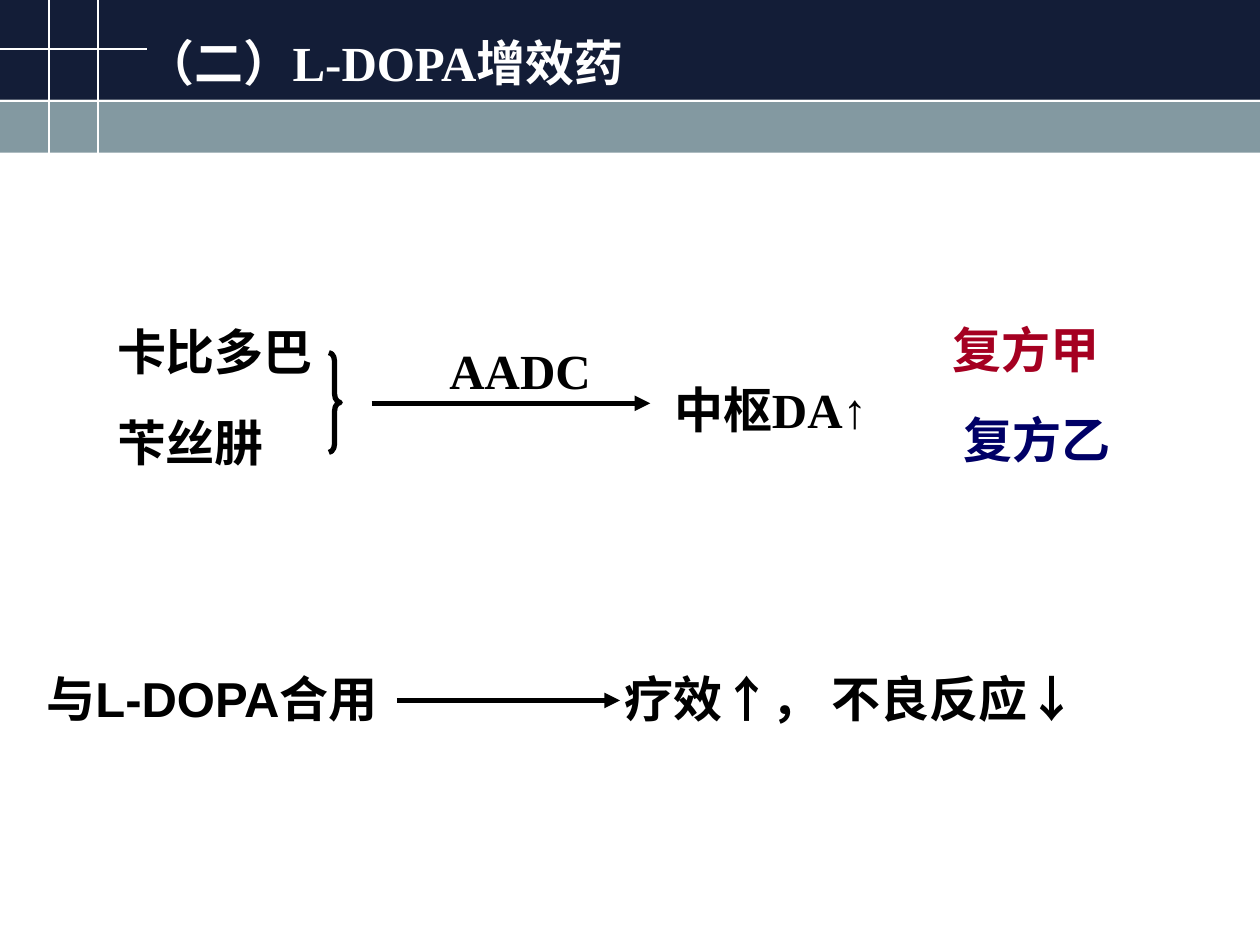
from lxml import etree
from pptx import Presentation
from pptx.dml.color import RGBColor
from pptx.enum.shapes import MSO_CONNECTOR, MSO_SHAPE
from pptx.enum.text import MSO_ANCHOR, PP_ALIGN
from pptx.oxml.ns import qn
from pptx.util import Cm, Pt

STRAIGHT = MSO_CONNECTOR.STRAIGHT
RECTANGLE, RIGHT_BRACE = MSO_SHAPE.RECTANGLE, MSO_SHAPE.RIGHT_BRACE
TOP, LEFT = MSO_ANCHOR.TOP, PP_ALIGN.LEFT

NAVY = RGBColor(0x13, 0x1D, 0x37)
GREY = RGBColor(0x83, 0x99, 0xA1)
WHITE = RGBColor(0xFF, 0xFF, 0xFF)
BLACK = RGBColor(0, 0, 0)
RED = RGBColor(0xA5, 0x00, 0x21)
BLUE = RGBColor(0x00, 0x00, 0x66)

SERIF, SANS, CJK = "Times New Roman", "Arial", "Noto Sans CJK SC"
TEXT_HEIGHT = 1.45

# All positions below are in centimetres.
TITLE = ("（二）L-DOPA增效药", 2.69, 0.53, 10.67)
BANDS = [(2.01, 1.07, GREY), (0, 2.01, NAVY)]  # top, height, colour
GRID_LINES = [
    (1.98, 0, 1.98, 3.15),
    (0, 0.99, 2.97, 0.99),
    (0.99, 0, 0.99, 3.15),
    (0, 2.03, 25.4, 2.03),
]
# text, left, top, width, font, colour, white backing
LABELS = [
    ("与L-DOPA合用", 0.69, 13.34, 7.8, SANS, BLACK, False),
    ("疗效↑， 不良反应↓", 12.34, 13.34, 10.16, SERIF, BLACK, True),
    ("卡比多巴", 2.11, 6.35, 4.8, SANS, BLACK, False),
    ("苄丝肼", 2.11, 8.18, 3.61, SANS, BLACK, False),
    ("中枢DA↑", 13.34, 7.52, 5.72, SERIF, BLACK, True),
    ("AADC", 8.81, 6.73, 3.89, SERIF, BLACK, True),
    ("复方乙", 19.18, 8.13, 3.89, CJK, BLUE, True),
    ("复方甲", 18.95, 6.32, 3.89, CJK, RED, True),
]
ARROWS = [(8, 14.12, 12.5, 14.12), (7.49, 8.13, 13.11, 8.13)]
BRACE = (6.63, 7.11, 0.23, 2.01)


def write(shape, text, font_name, colour, wrap=True):
    frame = shape.text_frame
    frame.text = text
    frame_format = {
        "word_wrap": wrap, "vertical_anchor": TOP,
        "margin_left": Cm(0.25), "margin_right": Cm(0.25),
        "margin_top": Cm(0.13), "margin_bottom": Cm(0.13),
    }
    for name, value in frame_format.items():
        setattr(frame, name, value)
    paragraph = frame.paragraphs[0]
    paragraph.alignment = LEFT
    font = paragraph.runs[0].font
    for name, value in {"name": font_name, "size": Pt(28), "bold": True}.items():
        setattr(font, name, value)
    font.color.rgb = colour
    east_asian = etree.Element(qn("a:ea"), typeface=CJK)
    paragraph.runs[0]._r.rPr.find(qn("a:latin")).addnext(east_asian)


def add_line(shapes, ends, colour, width, arrow=False):
    line = shapes.add_connector(STRAIGHT, *map(Cm, ends))
    line.line.color.rgb = colour
    line.line.width = Pt(width)
    properties = line._element.spPr
    if arrow:
        etree.SubElement(properties.find(qn("a:ln")), qn("a:tailEnd"), type="triangle")
    etree.SubElement(properties, qn("a:effectLst"))


def main():
    deck = Presentation()
    deck.slide_width, deck.slide_height = Cm(25.4), Cm(19.05)
    slide = deck.slides.add_slide(deck.slide_layouts[5])
    shapes = slide.shapes

    for top, height, colour in BANDS:
        band = shapes.add_shape(RECTANGLE, 0, Cm(top), deck.slide_width, Cm(height))
        band.shadow.inherit = False
        band.fill.solid()
        band.fill.fore_color.rgb = colour
        band.line.fill.background()
    for ends in GRID_LINES:
        add_line(shapes, ends, WHITE, 1)

    heading, left, top, width = TITLE
    title = shapes.title
    title.left, title.top = Cm(left), Cm(top)
    title.width, title.height = Cm(width), Cm(TEXT_HEIGHT)
    write(title, heading, SERIF, WHITE, wrap=False)
    shapes._spTree.append(title._element)  # in front of the bands

    for text, left, top, width, font_name, colour, backed in LABELS:
        label = shapes.add_textbox(Cm(left), Cm(top), Cm(width), Cm(TEXT_HEIGHT))
        if backed:
            label.fill.solid()
            label.fill.fore_color.rgb = WHITE
        write(label, text, font_name, colour)

    brace = shapes.add_shape(RIGHT_BRACE, *map(Cm, BRACE))
    brace.shadow.inherit = False
    brace.adjustments[0] = 0.75
    brace.fill.background()
    brace.line.color.rgb = BLACK
    brace.line.width = Pt(3)

    for ends in ARROWS:
        add_line(shapes, ends, BLACK, 3, arrow=True)

    deck.save("out.pptx")


if __name__ == "__main__":
    main()
